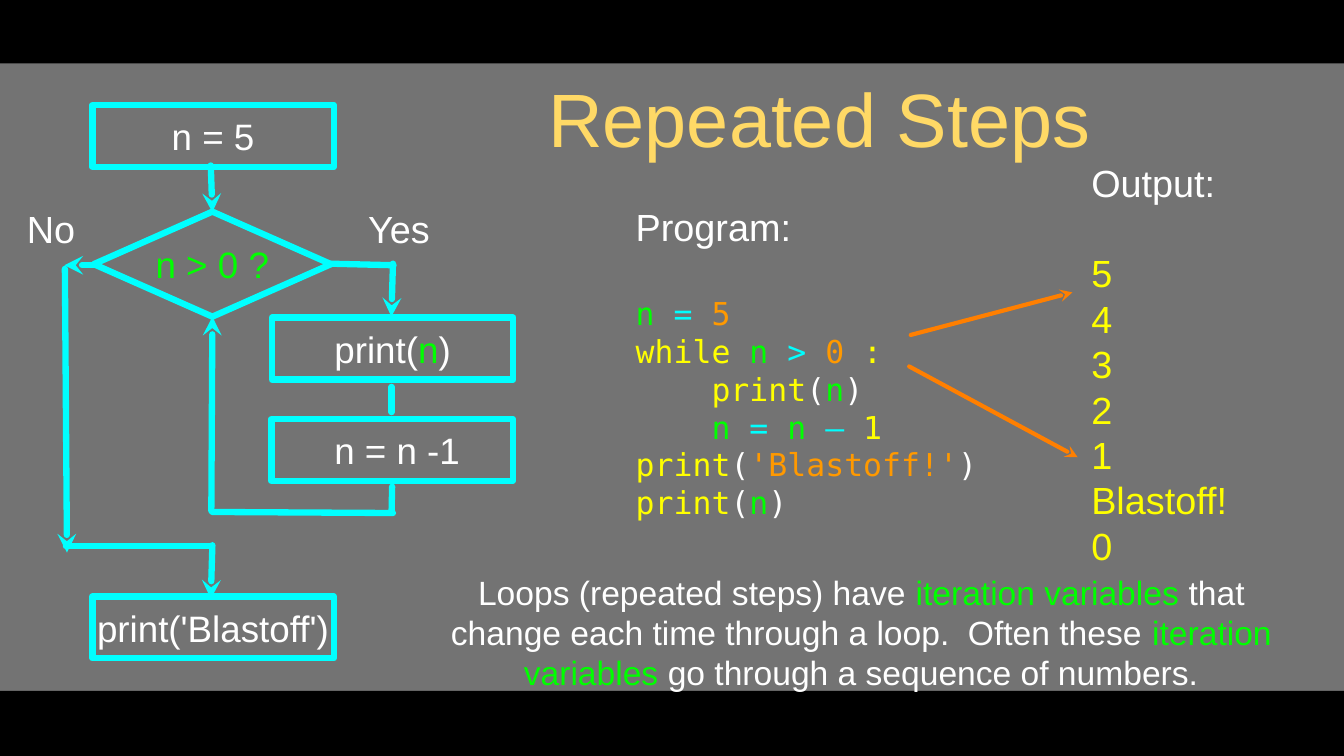
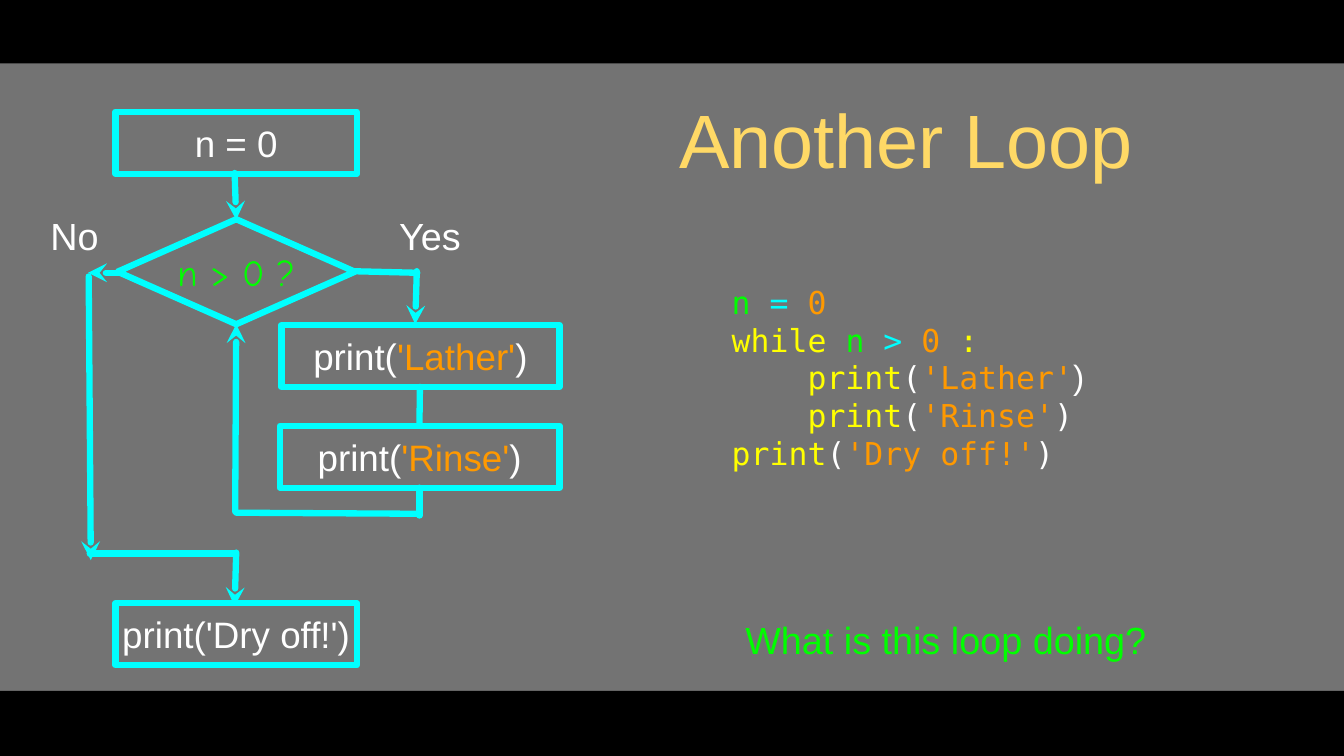
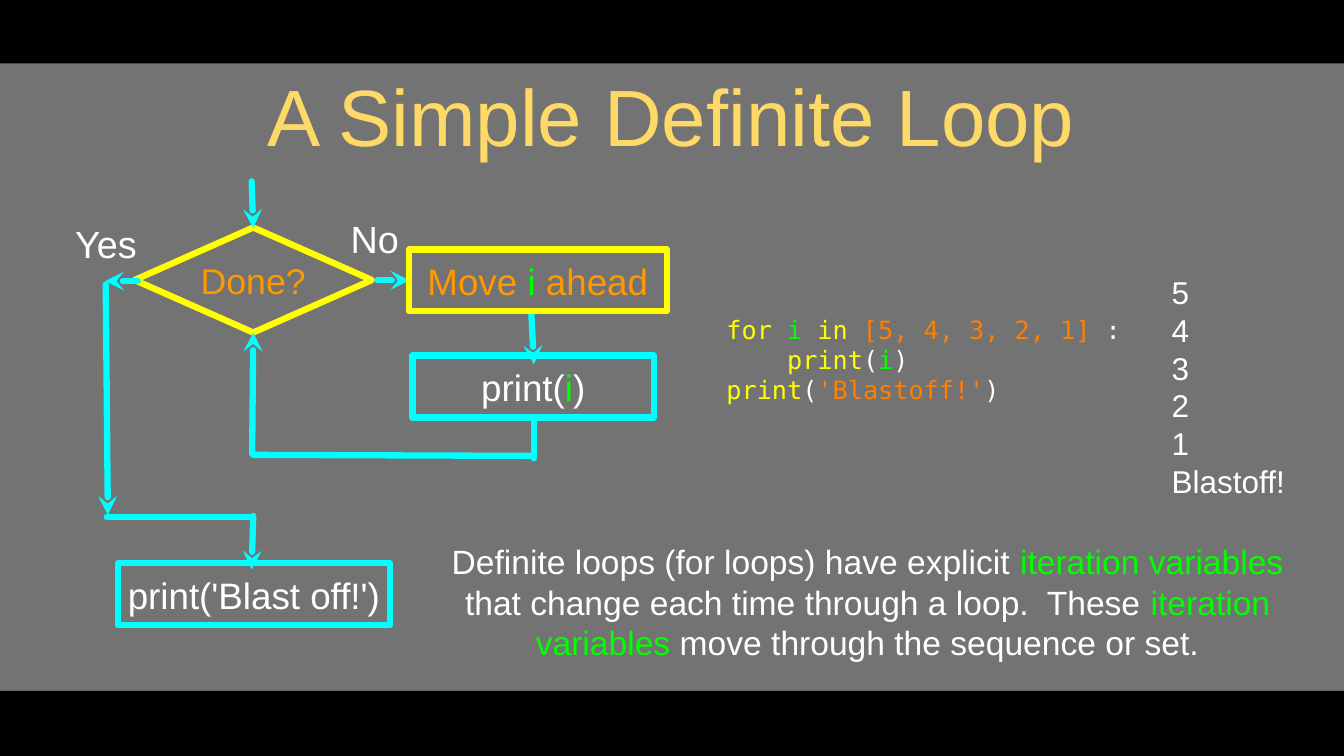
from dataclasses import dataclass
from functools import partial
from typing import NamedTuple, Optional

from pptx import Presentation
from pptx.dml.color import RGBColor
from pptx.enum.shapes import MSO_CONNECTOR as Connector, MSO_SHAPE as Preset
from pptx.enum.text import MSO_ANCHOR as Anchor, PP_ALIGN as Align
from pptx.oxml.xmlchemy import OxmlElement as Element
from pptx.util import Pt

# Shared look
SLIDE_W, SLIDE_H = 1280.16, 720
BAND_TOP_H, BAND_BOTTOM_H = 60.5, 62
BLACK, GREY, WHITE, GOLD = "000000", "737373", "FFFFFF", "FFD966"
GREEN, CYAN, YELLOW, AMBER, ORANGE = "00FF00", "00FFFF", "FFFF00", "FF9900", "FF7F00"
SANS, MONO, HAND = "Arial", "DejaVu Sans Mono", "Comic Neue"
STEP_H, LABEL_H = 59, 49
DIAMOND_W, DIAMOND_H = 226, 100
LINE_FACTOR = 1.2
MONO_ADVANCE = 0.602


class Run(NamedTuple):
    text: str
    color: str
    font: Optional[str] = None
    size: Optional[float] = None


white, green, cyan = (partial(Run, color=c) for c in (WHITE, GREEN, CYAN))
yellow, amber, orange = (partial(Run, color=c) for c in (YELLOW, AMBER, ORANGE))


@dataclass
class Line:
    runs: list[Run]
    indent: int = 0  # in characters of the code font
    size: Optional[float] = None
    font: Optional[str] = None
    gap_after: float = 0


@dataclass
class Frame:
    x: float
    y: float
    w: float
    h: float


@dataclass
class Step:
    """A rectangle of the flowchart."""
    x: float
    y: float
    w: float
    runs: list[Run]
    border: str = CYAN


@dataclass
class Label:
    text: str
    x: float
    y: float
    w: float


@dataclass
class Edge:
    x1: float
    y1: float
    x2: float
    y2: float
    arrow: bool = False
    color: str = CYAN
    width: float = 6


@dataclass
class Loop:
    """A flowchart around one decision; depths count from the diamond's top corner."""
    x: float
    y: float
    question: Run
    border: str
    return_w: float
    return_depth: float
    exit_depth: float
    exit_tip: float
    steps: list[Step]
    labels: list[Label]
    links: list[Edge]


def rgb(value: str) -> RGBColor:
    return RGBColor.from_string(value)


def write(frame, lines: list[Line], size: float, font: str = SANS,
          align: Align = Align.LEFT, inset: float = 0) -> None:
    frame.word_wrap = True
    frame.vertical_anchor = Anchor.MIDDLE
    frame.margin_left = frame.margin_right = Pt(inset)
    frame.margin_top = frame.margin_bottom = Pt(inset)
    for index, line in enumerate(lines):
        paragraph = frame.add_paragraph() if index else frame.paragraphs[0]
        line_size = line.size or size
        paragraph.alignment = align
        paragraph.line_spacing = Pt(LINE_FACTOR * line_size)
        paragraph.space_after = Pt(line.gap_after)
        if line.indent:
            margin = Pt(line.indent * MONO_ADVANCE * line_size)
            paragraph._p.get_or_add_pPr().set("marL", str(int(margin)))
        for part in line.runs:
            run = paragraph.add_run()
            run.text = part.text
            run.font.name = part.font or line.font or font
            run.font.size = Pt(part.size or line_size)
            run.font.color.rgb = rgb(part.color)


def add_text(slide, frame: Frame, lines: list[Line], size: float, **style) -> None:
    box = slide.shapes.add_textbox(Pt(frame.x), Pt(frame.y), Pt(frame.w), Pt(frame.h))
    write(box.text_frame, lines, size, **style)


def add_shape(slide, preset: Preset, frame: Frame, fill: Optional[str] = None,
              border: Optional[str] = None):
    shape = slide.shapes.add_shape(preset, Pt(frame.x), Pt(frame.y), Pt(frame.w), Pt(frame.h))
    shape.shadow.inherit = False
    if fill:
        shape.fill.solid()
        shape.fill.fore_color.rgb = rgb(fill)
    else:
        shape.fill.background()
    if border:
        shape.line.color.rgb = rgb(border)
        shape.line.width = Pt(6)
        shape.line._get_or_add_ln().append(Element("a:round"))
    else:
        shape.line.fill.background()
    return shape


def add_edge(slide, edge: Edge) -> None:
    connector = slide.shapes.add_connector(
        Connector.STRAIGHT, Pt(edge.x1), Pt(edge.y1), Pt(edge.x2), Pt(edge.y2))
    connector.line.color.rgb = rgb(edge.color)
    connector.line.width = Pt(edge.width)
    outline = connector.line._get_or_add_ln()
    outline.set("cap", "rnd")
    outline.append(Element("a:round"))
    if edge.arrow:
        tip = Element("a:tailEnd")
        tip.set("type", "stealth")
        outline.append(tip)
    connector._element.spPr.append(Element("a:effectLst"))


def add_loop(slide, loop: Loop, enters_from_above: bool = False) -> None:
    # Decision
    diamond = add_shape(slide, Preset.DIAMOND,
                        Frame(loop.x - DIAMOND_W / 2, loop.y, DIAMOND_W, DIAMOND_H),
                        border=loop.border)
    write(diamond.text_frame, [Line([loop.question])], 35, align=Align.CENTER)

    # Edges measured from the top corner of the diamond
    depth, back = loop.exit_depth, loop.return_depth
    edges = [
        Edge(-1.5, -44, 0, 0.5, True),
        Edge(-110, 51, -141, 51, True),
        Edge(-140.5, 54.5, -138.5, loop.exit_tip, True),
        Edge(-139.5, depth, -1.5, depth),
        Edge(0, depth - 1, -1.5, depth + 50, True),
        Edge(0, back, loop.return_w, back + 1),
        Edge(-1, back - 1, 0, DIAMOND_H, True),
    ]
    if enters_from_above:
        edges += [Edge(111, 49.5, 172.5, 51), Edge(172, 49.5, 170.5, 100, True)]
    for edge in edges:
        add_edge(slide, Edge(loop.x + edge.x1, loop.y + edge.y1,
                             loop.x + edge.x2, loop.y + edge.y2, edge.arrow))
    for link in loop.links:
        add_edge(slide, link)

    # Steps and branch labels
    for step in loop.steps:
        shape = add_shape(slide, Preset.RECTANGLE, Frame(step.x, step.y, step.w, STEP_H),
                          border=step.border)
        write(shape.text_frame, [Line(step.runs)], 35, align=Align.CENTER)
    for label in loop.labels:
        add_text(slide, Frame(label.x, label.y, label.w, LABEL_H),
                 [Line([white(label.text)])], 36, align=Align.CENTER)


def add_slide(deck, title: str, frame: Frame, size: float = 72):
    slide = deck.slides.add_slide(deck.slide_layouts[6])
    for top, height in ((0, BAND_TOP_H), (SLIDE_H - BAND_BOTTOM_H, BAND_BOTTOM_H)):
        add_shape(slide, Preset.RECTANGLE, Frame(0, top, SLIDE_W, height), fill=BLACK)
    add_text(slide, frame, [Line([Run(title, GOLD)])], size, align=Align.CENTER, inset=3)
    return slide


def printed(argument: Run) -> list[Run]:
    return [yellow("print"), white("("), argument, white(")")]


def print_step(argument: Run) -> list[Run]:
    return [white("print("), argument, white(")")]


def assign(value: str) -> Line:
    return Line([green("n "), cyan("= "), amber(value)])


def while_line() -> Line:
    return Line([yellow("while "), green("n "), cyan("> "), amber("0"), yellow(" :")])


def heading(text: str) -> Line:
    return Line([white(text)], size=36, font=SANS, gap_after=LINE_FACTOR * 36)


def repeated_steps(deck) -> None:
    slide = add_slide(deck, "Repeated Steps", Frame(373, 64, 815, 94.5))
    add_loop(slide, Loop(
        202.3, 201.6, green("n > 0 ?"), CYAN,
        return_w=172, return_depth=286, exit_depth=318.7, exit_tip=324.7,
        steps=[Step(88, 100, 230, [white("n = 5")]),
               Step(259, 302.5, 230, print_step(green("n"))),
               Step(258.5, 399, 230, [white(" n = n -1")]),
               Step(88, 568, 230, [white("print('Blastoff')")])],
        labels=[Label("No", 20, 193, 57), Label("Yes", 344, 193, 72)],
        links=[Edge(373, 368.5, 373, 392.5), Edge(373.5, 463.5, 373, 487.5)],
    ), enters_from_above=True)

    # Program and its output
    add_text(slide, Frame(605.5, 170.5, 333.5, 349), [
        heading("Program:"),
        assign("5"),
        while_line(),
        Line(printed(green("n")), indent=4),
        Line([green("n "), cyan("= "), green("n "), cyan("–"), yellow(" 1")], indent=4),
        Line(printed(amber("'Blastoff!'"))),
        Line(printed(green("n"))),
    ], 30, font=MONO)
    results = ["5", "4", "3", "2", "1", "Blastoff!", "0"]
    add_text(slide, Frame(1039.5, 157.5, 136, 377.5),
             [heading("Output:")] + [Line([yellow(result)]) for result in results], 36)
    for pointer in (Edge(867.5, 319, 1021.5, 278.5, True, ORANGE, 4),
                    Edge(866, 349, 1026.5, 435.5, True, ORANGE, 4)):
        add_edge(slide, pointer)

    add_text(slide, Frame(402.5, 536.5, 836, 131), [Line([
        white("Loops (repeated steps) have "), green("iteration variables "),
        white("that change each time through a loop.  Often these "),
        green("iteration variables "), white("go through a sequence of numbers."),
    ])], 32, align=Align.CENTER)


def another_loop(deck) -> None:
    slide = add_slide(deck, "Another Loop", Frame(538, 64, 650, 135.5))
    add_loop(slide, Loop(
        225, 208.8, green("n > 0 ?", font=HAND), CYAN,
        return_w=172, return_depth=279.5, exit_depth=318.5, exit_tip=324.7,
        steps=[Step(110, 106.5, 230, [white("n = 0")]),
               Step(268, 309.5, 265, print_step(amber("'Lather'"))),
               Step(266.5, 405.5, 266.5, print_step(amber("'Rinse'"))),
               Step(110, 574.5, 230, [white("print('Dry off!')")])],
        labels=[Label("No", 42.5, 199.5, 57), Label("Yes", 367, 199.5, 85)],
        links=[Edge(400, 368.5, 399.5, 405.5), Edge(399.5, 464.5, 399.5, 491)],
    ), enters_from_above=True)

    # Program and the question about it
    lather = printed(amber("'Lather'"))[:-1] + [white(")", font=SANS, size=32)]
    add_text(slide, Frame(697, 250.5, 395.5, 218), [
        assign("0"),
        while_line(),
        Line(lather, indent=4),
        Line(printed(amber("'Rinse'")), indent=4),
        Line(printed(amber("'Dry off!'"))),
    ], 30, font=MONO)
    add_text(slide, Frame(653, 584, 496, LABEL_H),
             [Line([green("What is this loop doing?")])], 36, align=Align.CENTER)


def definite_loop(deck) -> None:
    slide = add_slide(deck, "A Simple Definite Loop", Frame(90.5, 64, 1097.5, 89.5), 76)
    add_loop(slide, Loop(
        241.2, 216.7, amber("Done?", size=34), YELLOW,
        return_w=267.5, return_depth=216.5, exit_depth=275.7, exit_tip=273.7,
        steps=[Step(389.5, 237.5, 245.5, [amber("Move "), green("i"), amber(" ahead")], YELLOW),
               Step(393, 338.5, 230, print_step(green("i"))),
               Step(112.5, 536.5, 259, [white("print('Blast off!')")])],
        labels=[Label("Yes", 54.5, 207.5, 93), Label("No", 328.5, 202.5, 57)],
        links=[Edge(359.5, 267, 390, 267, True), Edge(506, 296, 508.5, 347, True),
               Edge(508.5, 397.5, 508.5, 436.5)],
    ))

    # Program and its output
    add_text(slide, Frame(692, 277, 402, 131), [
        Line([yellow("for "), green("i "), yellow("in "),
              orange("[5, 4, 3, 2, 1] "), white(":")]),
        Line(printed(green("i")), indent=4),
        Line(printed(orange("'Blastoff!'"))),
    ], 24, font=MONO)
    results = ["5", "4", "3", "2", "1", "Blastoff!"]
    add_text(slide, Frame(1116, 241, 131, 254),
             [Line([white(result)]) for result in results], 30)

    add_text(slide, Frame(427.5, 507.5, 798, 131), [Line([
        white("Definite loops (for loops) have explicit "), green("iteration variables "),
        white("that change each time through a loop.  These "),
        green("iteration variables"), white(" move through the sequence or set."),
    ])], 32, align=Align.CENTER)


def main() -> None:
    deck = Presentation()
    deck.slide_width, deck.slide_height = Pt(SLIDE_W), Pt(SLIDE_H)
    backdrop = deck.slide_master.background.fill
    backdrop.solid()
    backdrop.fore_color.rgb = rgb(GREY)
    for build in (repeated_steps, another_loop, definite_loop):
        build(deck)
    deck.save("out.pptx")


if __name__ == "__main__":
    main()
